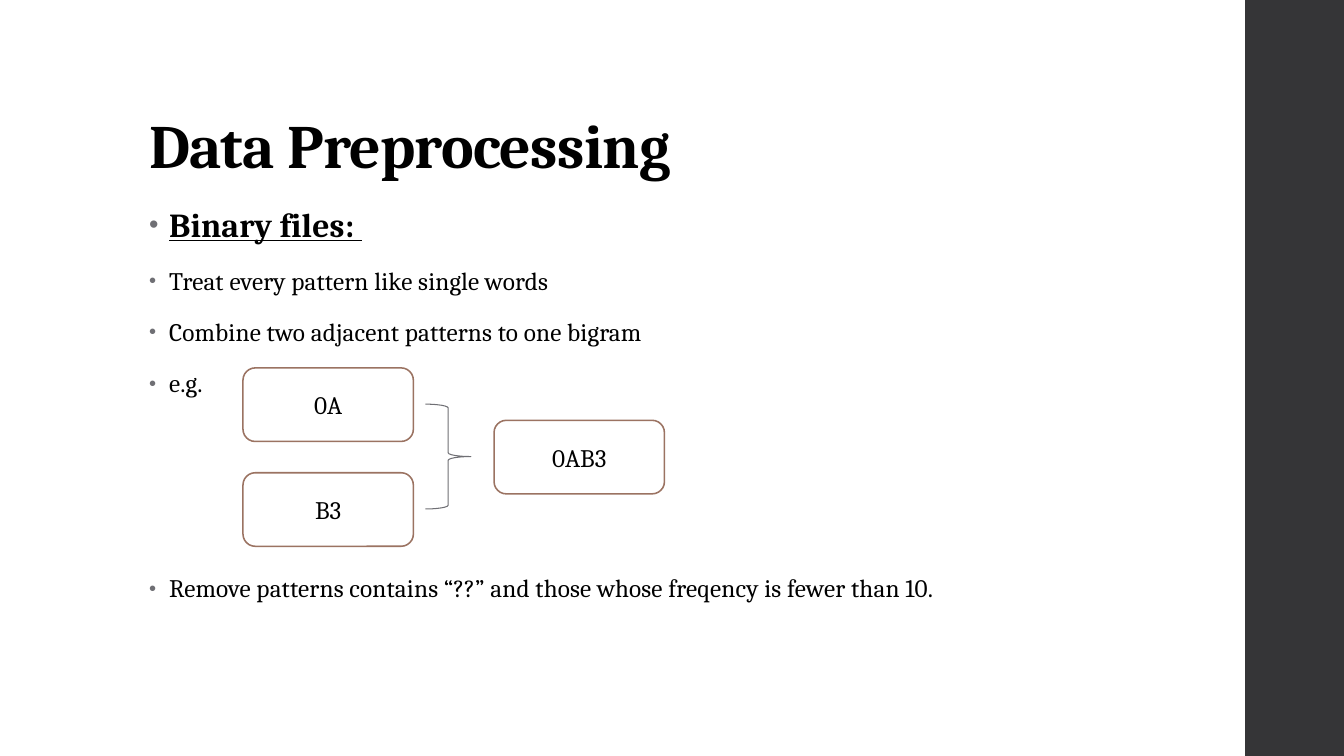
import pptx
import pptx.dml.color
import pptx.enum.shapes
import pptx.enum.text
import pptx.oxml.ns
import pptx.util
from dataclasses import dataclass
from lxml import etree

Inches = pptx.util.Inches
Pt = pptx.util.Pt
Shape = pptx.enum.shapes.MSO_SHAPE
Anchor = pptx.enum.text.MSO_ANCHOR
Align = pptx.enum.text.PP_ALIGN


@dataclass(frozen=True)
class Theme:
    font: str = "Cambria"
    ink: str = "000000"
    paper: str = "FFFFFF"
    band: str = "353537"
    edge: str = "9B7362"
    gray: str = "6F6F74"
    title: int = 44
    head: int = 24
    body: int = 18


THEME = Theme()


def color(code):
    return pptx.dml.color.RGBColor.from_string(code)


def assign(item, values):
    for name, value in values.items():
        setattr(item, name, value)


def add_run(para, text, size, track=0, **style):
    run = para.add_run()
    run.text = text
    assign(run.font, {"name": THEME.font, "size": Pt(size), **style})
    run.font.color.rgb = color(THEME.ink)
    if track:
        run.font._element.set("spc", str(track))


def add_text(slide, area, anchor):
    box = slide.shapes.add_textbox(*map(Inches, area))
    assign(box.text_frame, {"word_wrap": True, "vertical_anchor": anchor})
    return box.text_frame


def add_bullet(para):
    props = para._p.get_or_add_pPr()
    for name, value in {"marL": 0.2, "indent": -0.2}.items():
        props.set(name, str(Inches(value)))
    qn = pptx.oxml.ns.qn
    tint = etree.SubElement(props, qn("a:buClr"))
    etree.SubElement(tint, qn("a:srgbClr"), val=THEME.gray)
    etree.SubElement(props, qn("a:buSzPct"), val="80000")
    etree.SubElement(props, qn("a:buFont"), typeface="Arial")
    etree.SubElement(props, qn("a:buChar"), char="•")


def add_list(slide, area, items):
    frame = add_text(slide, area, Anchor.TOP)
    for index, (text, before, style) in enumerate(items):
        para = frame.add_paragraph() if index else frame.paragraphs[0]
        assign(para, {"line_spacing": 0.95, "space_before": Pt(before),
                      "space_after": Pt(2)})
        add_bullet(para)
        add_run(para, text, track=10, **style)


def add_shape(slide, kind, area, fill=None, line=None, width=0.75):
    shape = slide.shapes.add_shape(kind, *map(Inches, area))
    shape.shadow.inherit = False
    if fill:
        shape.fill.solid()
        shape.fill.fore_color.rgb = color(fill)
    else:
        shape.fill.background()
    if line:
        shape.line.color.rgb = color(line)
        shape.line.width = Pt(width)
    else:
        shape.line.fill.background()
    return shape


def add_card(slide, left, top, text):
    card = add_shape(slide, Shape.ROUNDED_RECTANGLE, (left, top, 1.69, 0.73),
                     THEME.paper, THEME.edge, 1.1)
    card.text_frame.vertical_anchor = Anchor.MIDDLE
    para = card.text_frame.paragraphs[0]
    para.alignment = Align.CENTER
    add_run(para, text, THEME.body)


def main():
    deck = pptx.Presentation()
    assign(deck, {"slide_width": Inches(13.33), "slide_height": Inches(7.5)})
    slide = deck.slides.add_slide(deck.slide_layouts[6])
    add_shape(slide, Shape.RECTANGLE, (12.35, 0, 1, 7.5), THEME.band)

    title = add_text(slide, (1.38, 0.4, 10.6, 1.45), Anchor.BOTTOM).paragraphs[0]
    title.line_spacing = 0.9
    add_run(title, "Data Preprocessing", THEME.title, -50, bold=True)

    head = {"size": THEME.head, "bold": True, "underline": True}
    body = {"size": THEME.body}
    add_list(slide, (1.38, 2, 9.4, 4.76), [
        ("Binary files: ", 14, head),
        ("Treat every pattern like single words", 14, body),
        ("Combine two adjacent patterns to one bigram", 14, body),
        ("e.g.", 14, body),
        ("Remove patterns contains “??” and those whose freqency is fewer than 10.",
         124, body),
    ])

    top, step = 3.65, 1.04
    for row, text in enumerate(("0A", "B3")):
        add_card(slide, 2.41, top + row * step, text)
    add_shape(slide, Shape.RIGHT_BRACE, (4.22, 4.01, 0.45, step), line=THEME.gray)
    add_card(slide, 4.9, top + step / 2, "0AB3")
    deck.save("out.pptx")


if __name__ == "__main__":
    main()
